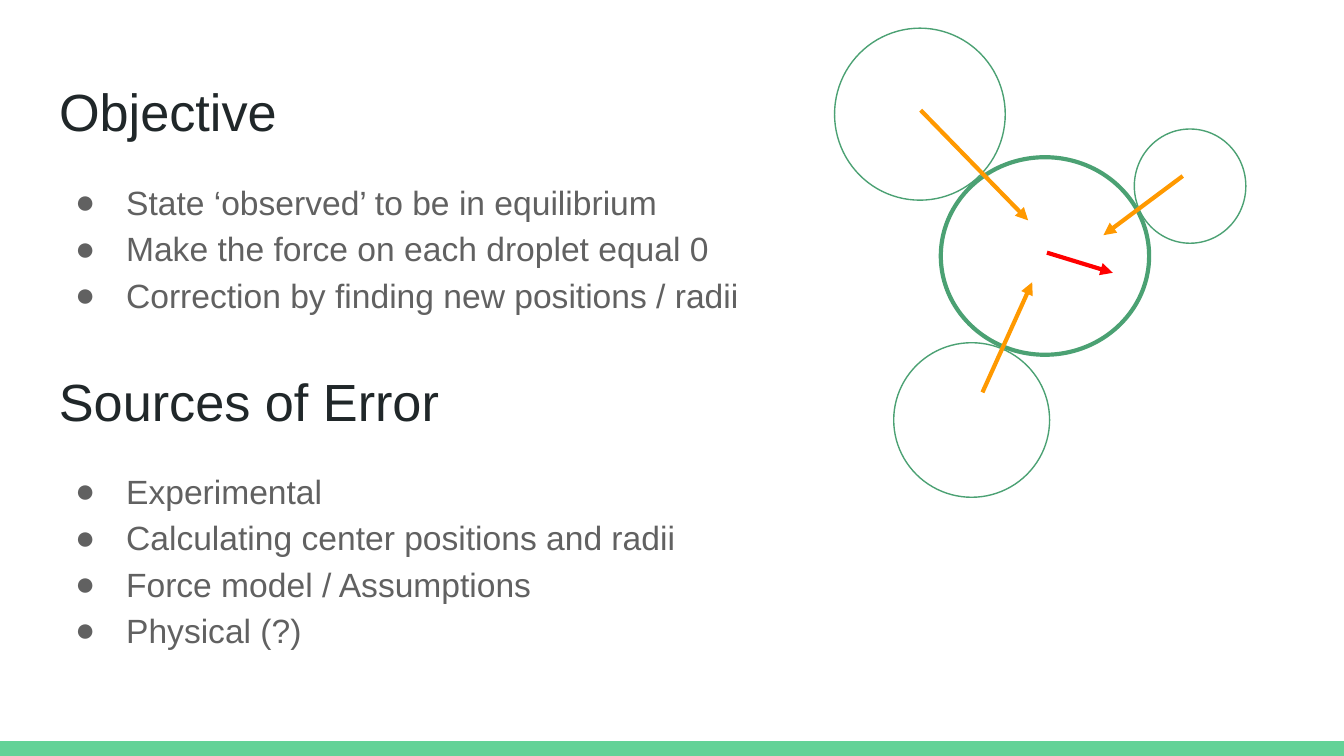
from lxml import etree
from pptx import Presentation
from pptx import util as u
from pptx.dml.color import RGBColor
from pptx.enum import shapes, text
from pptx.oxml.ns import qn

INK = RGBColor(0x20, 0x27, 0x29)
GREY = RGBColor(0x61, 0x61, 0x61)
MINT = RGBColor(0x63, 0xD2, 0x97)
GREEN = RGBColor(0x4B, 0xA1, 0x73)
ORANGE = RGBColor(0xFF, 0x99, 0x00)
RED = RGBColor(0xFF, 0x00, 0x00)

prs = Presentation()
prs.slide_width = u.Inches(10)
prs.slide_height = prs.slide_width * 9 // 16
s = prs.slides.add_slide(prs.slide_layouts[5])
W, H = prs.slide_width, prs.slide_height
LEFT, WIDTH = u.Inches(0.34), u.Inches(9.32)


def set_frame(tf):
    tf.word_wrap = True
    tf.auto_size = text.MSO_AUTO_SIZE.NONE
    tf.vertical_anchor = text.MSO_ANCHOR.TOP
    tf.margin_left = tf.margin_right = u.Inches(0.1)
    tf.margin_top = tf.margin_bottom = u.Inches(0.1)


def style(p, size, color):
    p.alignment = text.PP_ALIGN.LEFT
    p.font.name, p.font.size = "Arial", u.Pt(size)
    p.font.color.rgb = color


# Green band along the bottom edge
band_height = u.Inches(0.11)
band = s.shapes.add_shape(shapes.MSO_SHAPE.RECTANGLE, 0, H - band_height, W, band_height)
band.shadow.inherit = False
band.fill.solid()
band.fill.fore_color.rgb = MINT
band.line.fill.background()

# Two sections: heading, its top, bullets' top, width and height, bullets
sections = [
    ("Objective", 0.49, 1.21, 9.32, 3.74,
     ["State ‘observed’ to be in equilibrium",
      "Make the force on each droplet equal 0",
      "Correction by finding new positions / radii"]),
    ("Sources of Error", 2.65, 3.36, 5.02, 2.19,
     ["Experimental",
      "Calculating center positions and radii",
      "Force model / Assumptions",
      "Physical (?)"]),
]
for i, (heading, top, body_top, body_width, body_height, bullets) in enumerate(sections):
    sp = s.shapes.title if i == 0 else s.shapes.add_textbox(0, 0, 0, 0)
    sp.left, sp.top, sp.width, sp.height = LEFT, u.Inches(top), WIDTH, u.Inches(0.63)
    set_frame(sp.text_frame)
    sp.text_frame.text = heading
    style(sp.text_frame.paragraphs[0], 28, INK)

    body = s.shapes.add_textbox(LEFT, u.Inches(body_top), u.Inches(body_width), u.Inches(body_height))
    set_frame(body.text_frame)
    body.text_frame.text = "\n".join(bullets)
    for p in body.text_frame.paragraphs:
        style(p, 18, GREY)
        p.line_spacing = 1.15
        pPr = p._p.get_or_add_pPr()
        pPr.set("marL", str(u.Inches(0.5)))
        pPr.set("indent", str(u.Inches(-0.38)))
        for tag, attribute, value in [("a:buFont", "typeface", "Arial"), ("a:buChar", "char", "●")]:
            mark = etree.Element(qn(tag), {attribute: value})
            pPr.insert_element_before(mark, "a:tabLst", "a:defRPr", "a:extLst")

# Droplets: left, top, width, height, outline weight
droplets = [
    (6.65, 2.55, 1.16, 1.15, 0.75),
    (7.00, 1.17, 1.55, 1.47, 2.25),
    (6.21, 0.21, 1.27, 1.28, 0.75),
    (8.44, 0.96, 0.83, 0.85, 0.75),
]
for *box, weight in droplets:
    droplet = s.shapes.add_shape(shapes.MSO_SHAPE.OVAL, *map(u.Inches, box))
    droplet.shadow.inherit = False
    droplet.fill.background()
    droplet.line.color.rgb = GREEN
    droplet.line.width = u.Pt(weight)

# Forces from the neighbours, and the resulting force in red
forces = [
    (6.85, 0.82, 7.65, 1.64, ORANGE),
    (8.80, 1.31, 8.21, 1.75, ORANGE),
    (7.31, 2.92, 7.68, 2.10, ORANGE),
    (7.79, 1.88, 8.28, 2.03, RED),
]
for *ends, color in forces:
    force = s.shapes.add_connector(shapes.MSO_CONNECTOR.STRAIGHT, *map(u.Inches, ends))
    force.line.color.rgb = color
    force.line.width = u.Pt(2.25)
    etree.SubElement(force.line._get_or_add_ln(), qn("a:tailEnd"), type="triangle")
    etree.SubElement(force._element.spPr, qn("a:effectLst"))

prs.save("out.pptx")
